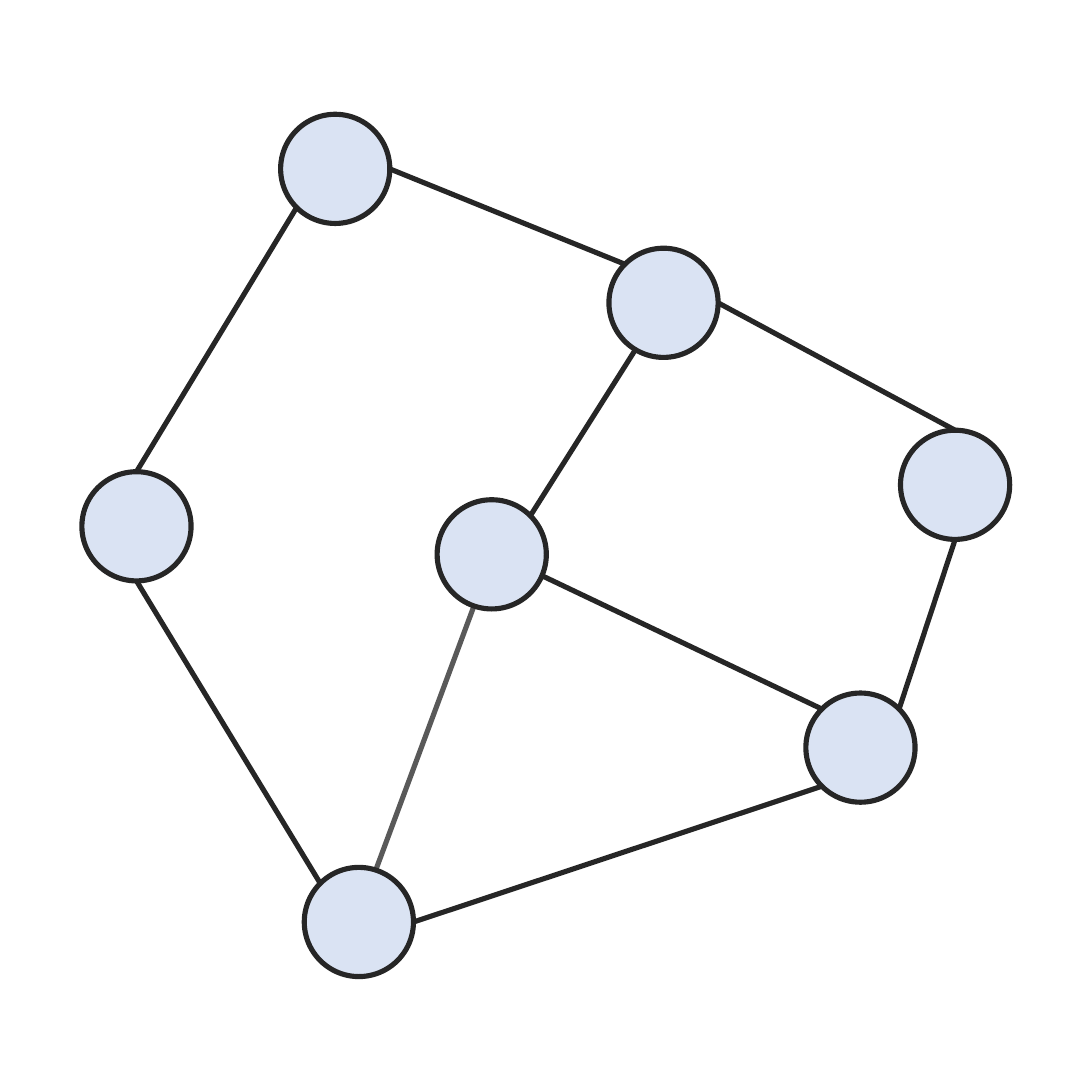
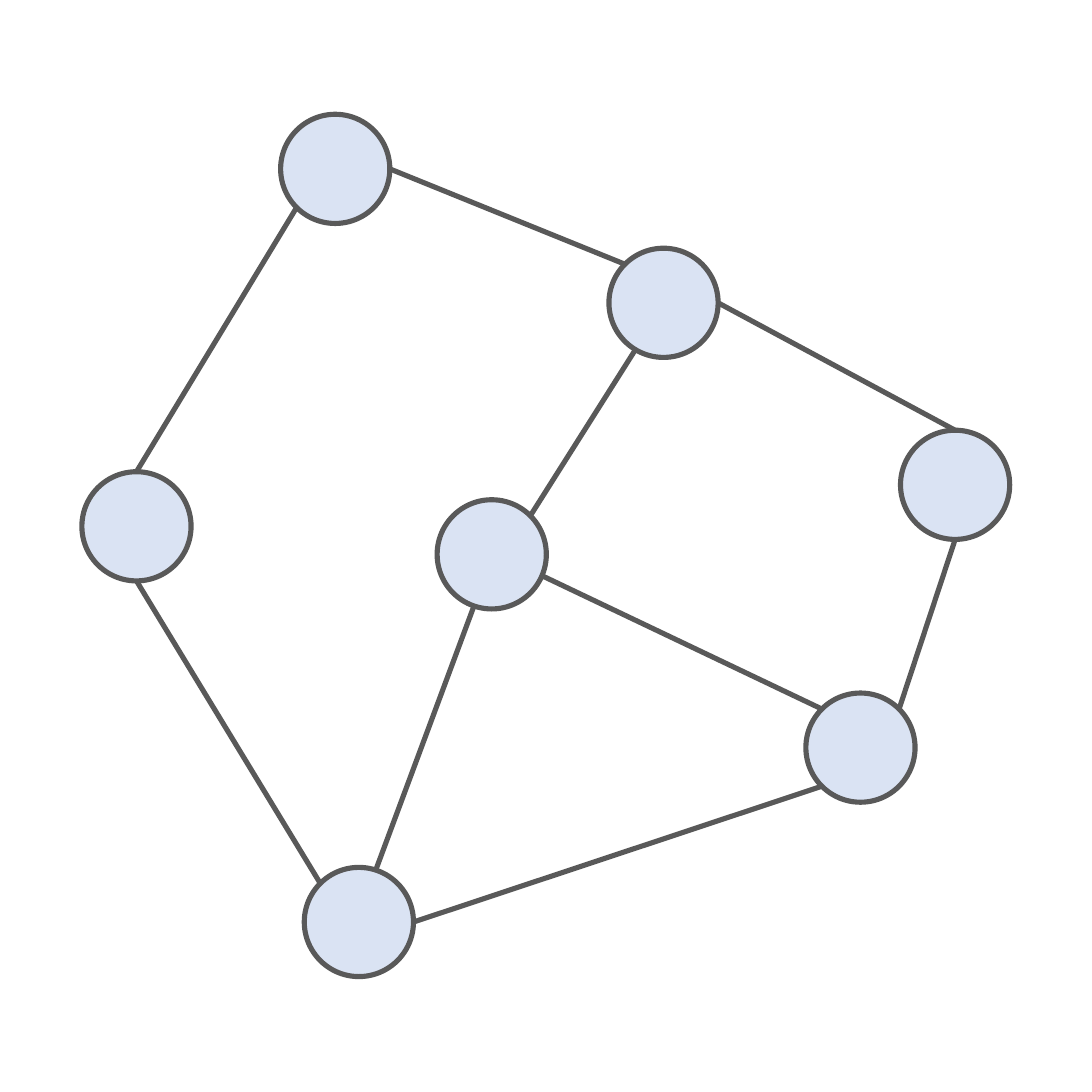
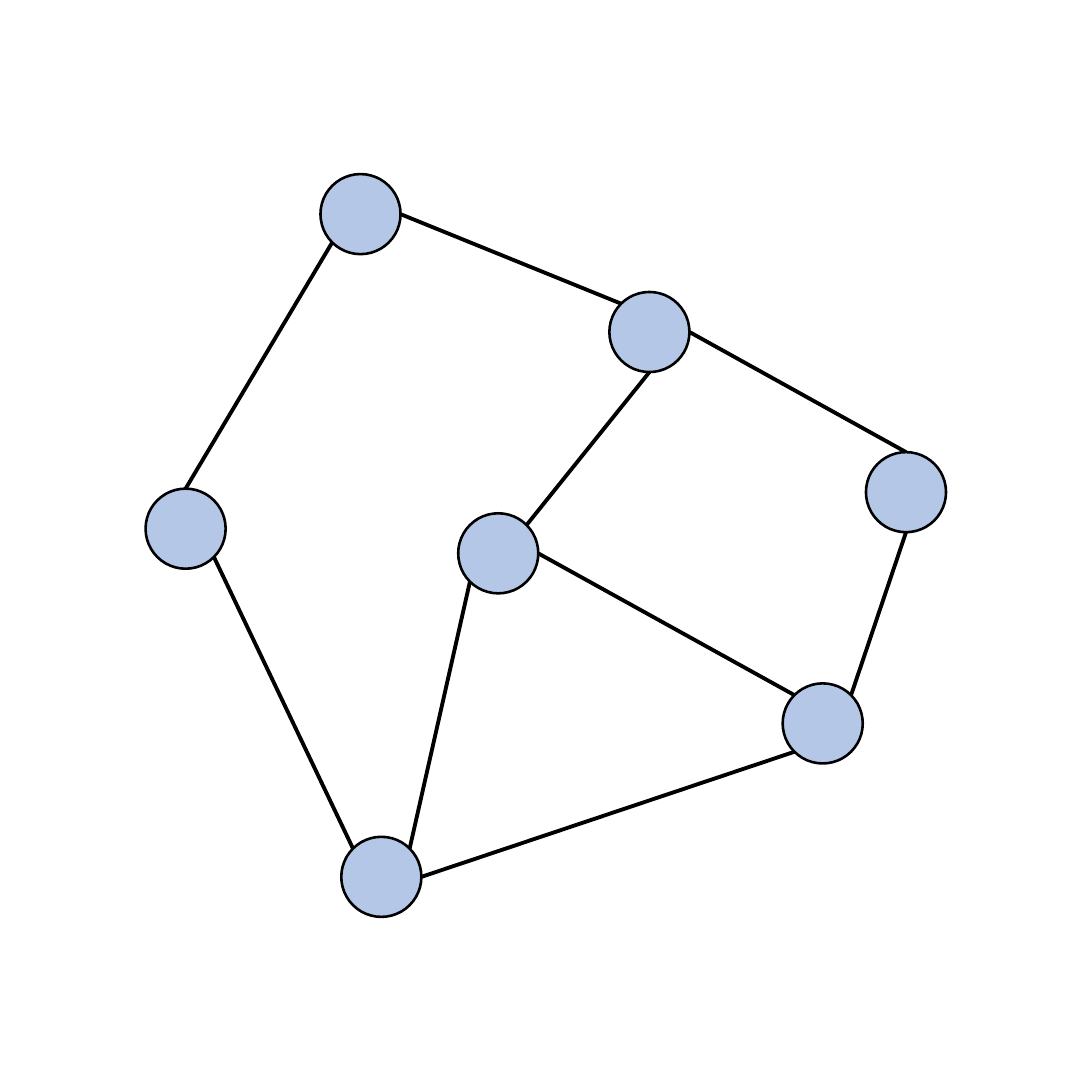
from math import cos, radians, sin

from lxml import etree
from pptx import Presentation
from pptx.dml.color import RGBColor
from pptx.enum.shapes import MSO_CONNECTOR, MSO_SHAPE
from pptx.oxml.ns import qn
from pptx.util import Cm, Pt

OVAL = MSO_SHAPE.OVAL
STRAIGHT = MSO_CONNECTOR.STRAIGHT

SIDE = 30
DARK, GREY, BLACK = "262626", "595959", "000000"
PALE_BLUE, BLUE = "DAE3F3", "B4C7E7"

CENTRES = {
    "top": (9.21, 4.64),
    "upper": (18.23, 8.32),
    "right": (26.24, 13.32),
    "lower": (23.64, 20.54),
    "bottom": (9.86, 25.33),
    "left": (3.75, 14.46),
    "middle": (13.51, 15.23),
}

# Each edge end is a node and an angle in degrees, clockwise from the right.
EDGES = {
    ("left", "top"): (270, 135),
    ("bottom", "left"): (225, 90),
    ("bottom", "middle"): (288, 109),
    ("bottom", "lower"): (0, 135),
    ("lower", "right"): (315, 90),
    ("right", "upper"): (270, 0),
    ("upper", "top"): (225, 0),
    ("upper", "middle"): (121, 315),
    ("lower", "middle"): (225, 23),
}
SMALL_EDGES = EDGES | {
    ("bottom", "left"): (225, 45),
    ("bottom", "middle"): (315, 135),
    ("upper", "middle"): (90, 315),
    ("lower", "middle"): (225, 0),
}

LARGE = dict(scale=1, radius=1.5, fill=PALE_BLUE, node_pt=4, edge_pt=4, edges=EDGES)
GRAPHS = [
    dict(LARGE, color=DARK, accents={("bottom", "middle"): GREY}),
    dict(LARGE, color=GREY, accents={}),
    dict(scale=0.88, radius=1.1, fill=BLUE, node_pt=2, edge_pt=3,
         edges=SMALL_EDGES, color=BLACK, accents={}),
]


def rgb(value):
    return RGBColor.from_string(value)


def set_line(sp, color, width):
    sp.line.color.rgb = rgb(color)
    sp.line.width = Pt(width)


def add_node(shapes, centre, radius, fill, color, width):
    x, y = centre
    sp = shapes.add_shape(OVAL, Cm(x - radius), Cm(y - radius),
                          Cm(2 * radius), Cm(2 * radius))
    sp.shadow.inherit = False
    sp.fill.solid()
    sp.fill.fore_color.rgb = rgb(fill)
    set_line(sp, color, width)


def rim_point(centre, radius, angle):
    x, y = centre
    a = radians(angle)
    return Cm(x + radius * cos(a)), Cm(y + radius * sin(a))


def add_edge(shapes, start, end, color, width):
    sp = shapes.add_connector(STRAIGHT, *start, *end)
    set_line(sp, color, width)
    etree.SubElement(sp._element.spPr, qn("a:effectLst"))


def add_graph(slide, scale, radius, fill, node_pt, edge_pt, edges, color, accents):
    shapes = slide.shapes.add_group_shape().shapes
    middle = SIDE / 2
    centres = {name: [middle + scale * (v - middle) for v in centre]
               for name, centre in CENTRES.items()}
    for pair, angles in edges.items():
        start, end = [rim_point(centres[name], radius, angle)
                      for name, angle in zip(pair, angles)]
        add_edge(shapes, start, end, accents.get(pair, color), edge_pt)
    for centre in centres.values():
        add_node(shapes, centre, radius, fill, color, node_pt)


def main():
    prs = Presentation()
    prs.slide_width = prs.slide_height = Cm(SIDE)
    for graph in GRAPHS:
        add_graph(prs.slides.add_slide(prs.slide_layouts[6]), **graph)
    prs.save("out.pptx")


if __name__ == "__main__":
    main()
